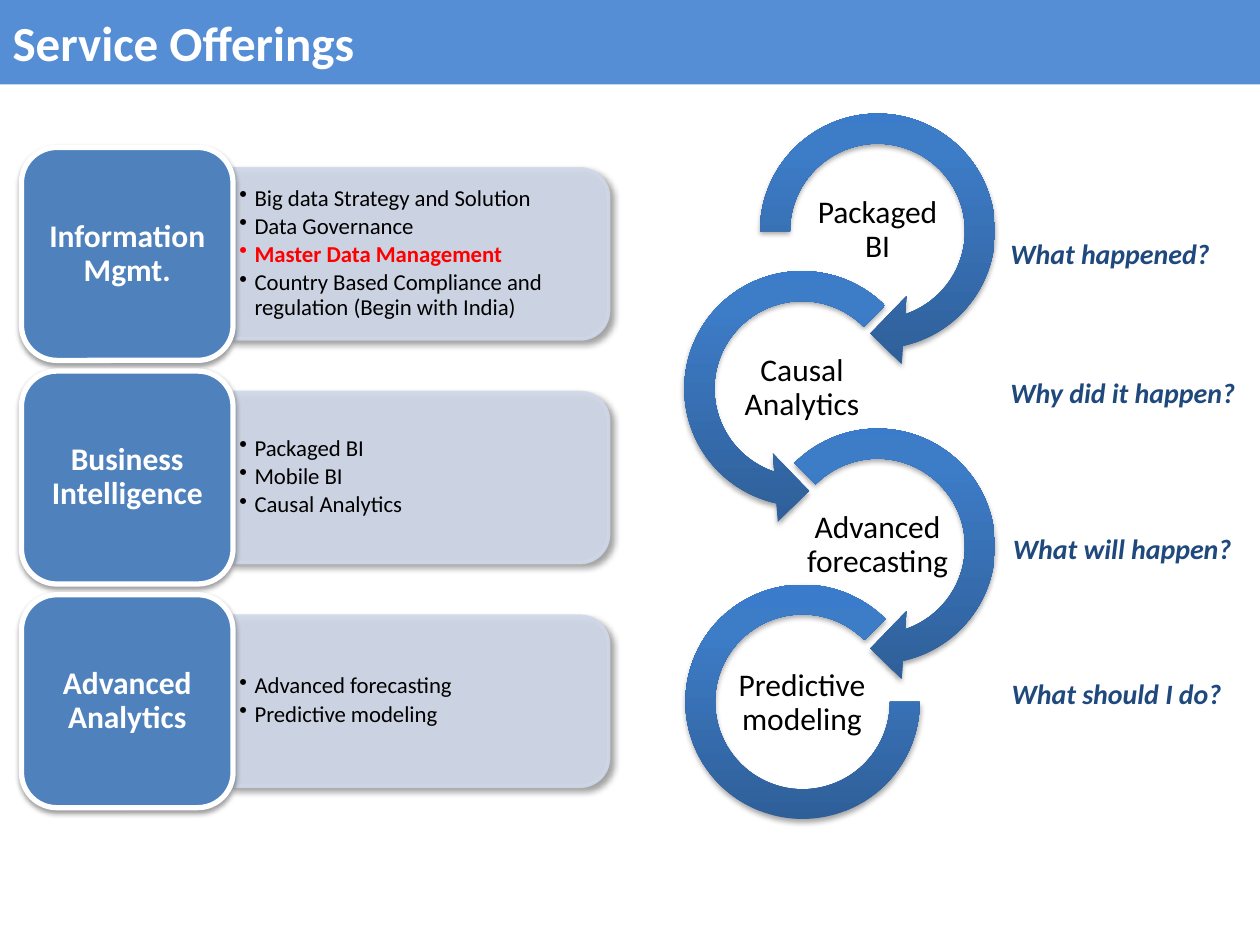
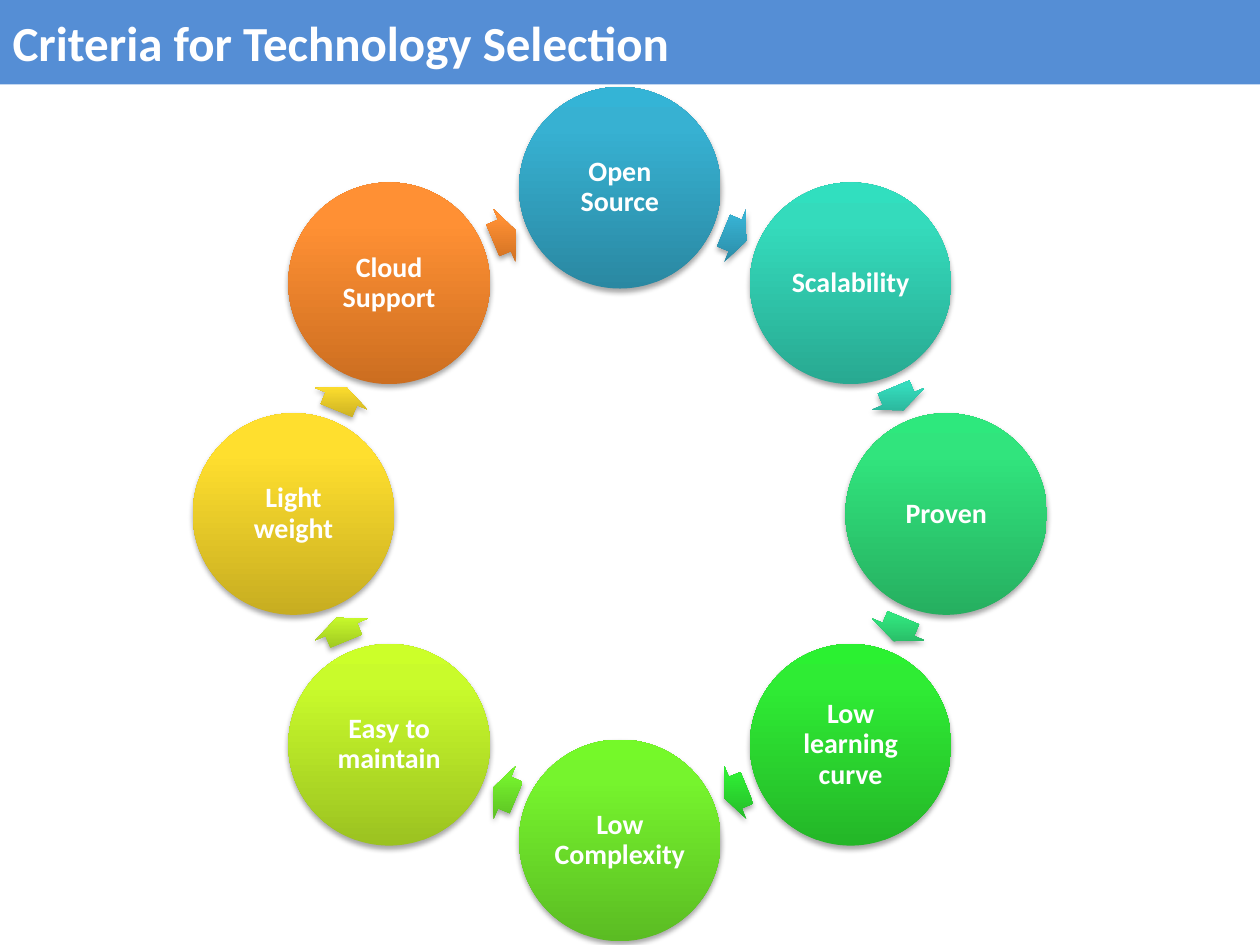
import math
from lxml import etree
from pptx import Presentation, util as u
from pptx.dml.color import RGBColor
from pptx.enum import shapes, text
from pptx.oxml.ns import qn

rgb = RGBColor.from_string
Kind, Mid, Left, Center = (shapes.MSO_SHAPE, text.MSO_ANCHOR.MIDDLE,
                           text.PP_ALIGN.LEFT, text.PP_ALIGN.CENTER)

# Grid: 100 columns by 75 rows of square cells
prs = Presentation()
prs.slide_width, prs.slide_height = u.Inches(10), u.Inches(7.5)
cell = prs.slide_width / 100

# Shared formats: a shadow is opacity, blur, distance (points), angle
WHITE, BLACK, BAND, NAVY, RED = "FFFFFF", "000000", "558ED5", "1F497D", "FF0000"
TILE, PANEL = "4F81BD", "D0D8E8"
BLUE = ["2F5F99", "3D7CC7", "3A7CCB"]
STOPS = [0, 80, 100]
SOFT, FLAT, CAST = (35, 3.1, 1.8, 90), (38, 3.1, 1.6, 90), (40, 4, 3, 45)
HEAD = dict(size=u.Pt(28), bold=True, name="Calibri")
LABEL = dict(size=u.Pt(18), name="Calibri")
STRONG = dict(LABEL, bold=True)
ITEM = dict(LABEL, size=u.Pt(13))
ASK = dict(STRONG, size=u.Pt(16), italic=True)
NODE = dict(STRONG, size=u.Pt(16))


def draw(kind, box, fill, cast, adj=(), turn=0, line=None, alpha=None):
    """Add a shape with a solid fill or a three-stop gradient, and a shadow."""
    sp = page.shapes.add_shape(kind, *[round(v * cell) for v in box])
    sp.rotation = turn
    for i, val in enumerate(adj):
        sp.adjustments[i] = val
    if isinstance(fill, str):
        sp.fill.solid()
        sp.fill.fore_color.rgb = rgb(fill)
    else:
        sp.fill.gradient()
        sp.fill.gradient_angle = 90
        grad = sp._element.spPr.find(qn("a:gradFill"))
        grad.set("rotWithShape", "0")
        stops = grad.find(qn("a:gsLst"))
        for old in list(stops):
            stops.remove(old)
        for pos, tone in zip(STOPS, fill):
            gs = etree.SubElement(stops, qn("a:gs"), pos=str(pos * 1000))
            etree.SubElement(gs, qn("a:srgbClr"), val=tone)
    if line:
        sp.line.color.rgb = rgb(line[0])
        sp.line.width = u.Pt(line[1])
    else:
        sp.line.fill.background()
    if alpha:
        for tone in sp._element.spPr.findall(".//" + qn("a:srgbClr")):
            etree.SubElement(tone, qn("a:alpha"), val=str(alpha * 1000))
    sp.shadow.inherit = False
    dark, blur, dist, way = cast
    drop = etree.SubElement(
        sp._element.spPr.find(qn("a:effectLst")), qn("a:outerShdw"),
        blurRad=str(u.Pt(blur)), dist=str(u.Pt(dist)),
        dir=str(way * 60000), rotWithShape="0")
    tone = etree.SubElement(drop, qn("a:srgbClr"), val=BLACK)
    etree.SubElement(tone, qn("a:alpha"), val=str(dark * 1000))


def write(box, lines, form, color, pad=None, align=Center, wrap=True, sp=None):
    """Write lines into a new text box, or into the given shape."""
    box = [round(v * cell) for v in box]
    if sp is None:
        sp = page.shapes.add_textbox(*box)
    else:
        sp.left, sp.top, sp.width, sp.height = box
    tf = sp.text_frame
    tf.text = "\n".join(lines)
    tf.word_wrap = wrap
    tf.auto_size = text.MSO_AUTO_SIZE.NONE
    if wrap:
        tf.vertical_anchor = Mid
    if pad:
        tf.margin_left = tf.margin_right = u.Inches(pad[0])
        tf.margin_top = tf.margin_bottom = u.Inches(pad[1])
    for par in tf.paragraphs:
        par.alignment = align
        if pad:
            par.line_spacing = 0.9
        for key, val in form.items():
            setattr(par.runs[0].font, key, val)
        par.runs[0].font.color.rgb = rgb(color)
    return tf


# Both pages: title band
pages = []
for name in ["Service Offerings", "Criteria for Technology Selection"]:
    page = prs.slides.add_slide(prs.slide_layouts[5])
    band = page.shapes.title
    band.fill.solid()
    band.fill.fore_color.rgb = rgb(BAND)
    write((0, 0, 100, 6.7), [name], HEAD, WHITE, align=Left, sp=band)
    pages.append(page)

# Page 1, right: chain of arrows, alternating between two columns
page = pages[0]
chain = [
    ("Packaged BI", Kind.CIRCULAR_ARROW, 45, 108),
    ("Causal Analytics", Kind.LEFT_CIRCULAR_ARROW, 63, 189),
    ("Advanced forecasting", Kind.CIRCULAR_ARROW, 45, 135),
    ("Predictive modeling", Kind.BLOCK_ARC, 0, 189),
]
for i, (name, kind, end, start) in enumerate(chain):
    x, y = 58.8 - 6 * (i % 2), 7.5 + 12.5 * i
    if kind == Kind.BLOCK_ARC:
        draw(kind, (x + 1.6, y + 1.4, 18.6, 18.6), BLUE, SOFT, (end, start, 0.127))
    else:
        draw(kind, (x, y, 21.7, 21.7), BLUE, SOFT, (0.11, 11.423, end, start, 0.125))
    write((x + 4.8, y + 7.8, 12.1, 6), [name], LABEL, BLACK, (0.01, 0.01))

# Page 1, left: one row per service, a panel behind a tile
rows = [
    ("Information Mgmt.", ["Big data Strategy and Solution", "Data Governance",
                           "Master Data Management",
                           "Country Based Compliance and regulation (Begin with India)"]),
    ("Business Intelligence", ["Packaged BI", "Mobile BI", "Causal Analytics"]),
    ("Advanced Analytics", ["Advanced forecasting", "Predictive modeling"]),
]
for i, (name, items) in enumerate(rows):
    y = 11.7 + 17.75 * i
    draw(Kind.ROUND_2_SAME_RECTANGLE, (26.6, y - 6.5, 13.5, 29.9), PANEL, CAST,
         turn=90, line=(PANEL, 2), alpha=90)
    tf = write((18.5, y + 2.3, 29.2, 12.2), items, ITEM, BLACK, (0.05, 0.03), Left)
    for par in tf.paragraphs:
        par.space_after = u.Pt(2)
        ppr = par._p.get_or_add_pPr()
        ppr.set("marL", str(u.Inches(0.12)))
        ppr.set("indent", str(-u.Inches(0.12)))
        etree.SubElement(ppr, qn("a:buChar"), char="•")
        if par.text == "Master Data Management":
            par.runs[0].font.bold = True
            par.runs[0].font.color.rgb = rgb(RED)
    draw(Kind.ROUNDED_RECTANGLE, (1.7, y, 16.8, 16.9), TILE, FLAT, line=(WHITE, 3))
    write((2.5, y + 0.8, 15.2, 15.3), [name], STRONG, WHITE, (0.07, 0.04))

# Page 1: question beside each arrow
asks = [("What happened?", 79.2, 18.3, 18.2), ("Why did it happen?", 79.2, 29.3, 20.1),
        ("What will happen?", 79.4, 41.7, 19.8), ("What should I do?", 79.3, 53.2, 18.9)]
for name, x, y, w in asks:
    write((x, y, w, 3.7), [name], ASK, NAVY, align=Left, wrap=False)

# Page 2: ring of criteria, with an arrow halfway to the next one
page = pages[1]
ring = [
    ("Open Source", ["2A88A2", "37B1D2", "34B4D6"]),
    ("Scalability", ["28A991", "34DBBC", "31DFBF"]),
    ("Proven", ["26AF60", "31E47D", "2EE87D"]),
    ("Low learning curve", ["24B628", "2FEC34", "2BF131"]),
    ("Low Complexity", ["5BBC23", "76F42D", "75F929"]),
    ("Easy to maintain", ["9BC221", "C9FB2B", "CCFF29"]),
    ("Light weight", ["C7AD21", "FFDF2E", "FFDF2F"]),
    ("Cloud Support", ["CC6E20", "FF9034", "FF9136"]),
]
midx, midy, far, step = 49.2, 40.8, 25.9, 360 / len(ring)
near = far * math.cos(math.radians(step / 2))
for i, (name, tones) in enumerate(ring):
    way = math.radians(step * i)
    x, y = midx + far * math.sin(way), midy - far * math.cos(way)
    draw(Kind.OVAL, (x - 8, y - 8, 16, 16), tones, SOFT)
    write((x - 5.65, y - 5.65, 11.3, 11.3), [name], NODE, WHITE, (0.02, 0.02))
    turn = step * (i + 0.5)
    way = math.radians(turn)
    x, y = midx + near * math.sin(way), midy - near * math.cos(way)
    draw(Kind.RIGHT_ARROW, (x - 1, y - 2.25, 2, 4.5), tones, SOFT, (0.6, 0.5), turn)

prs.save("out.pptx")
